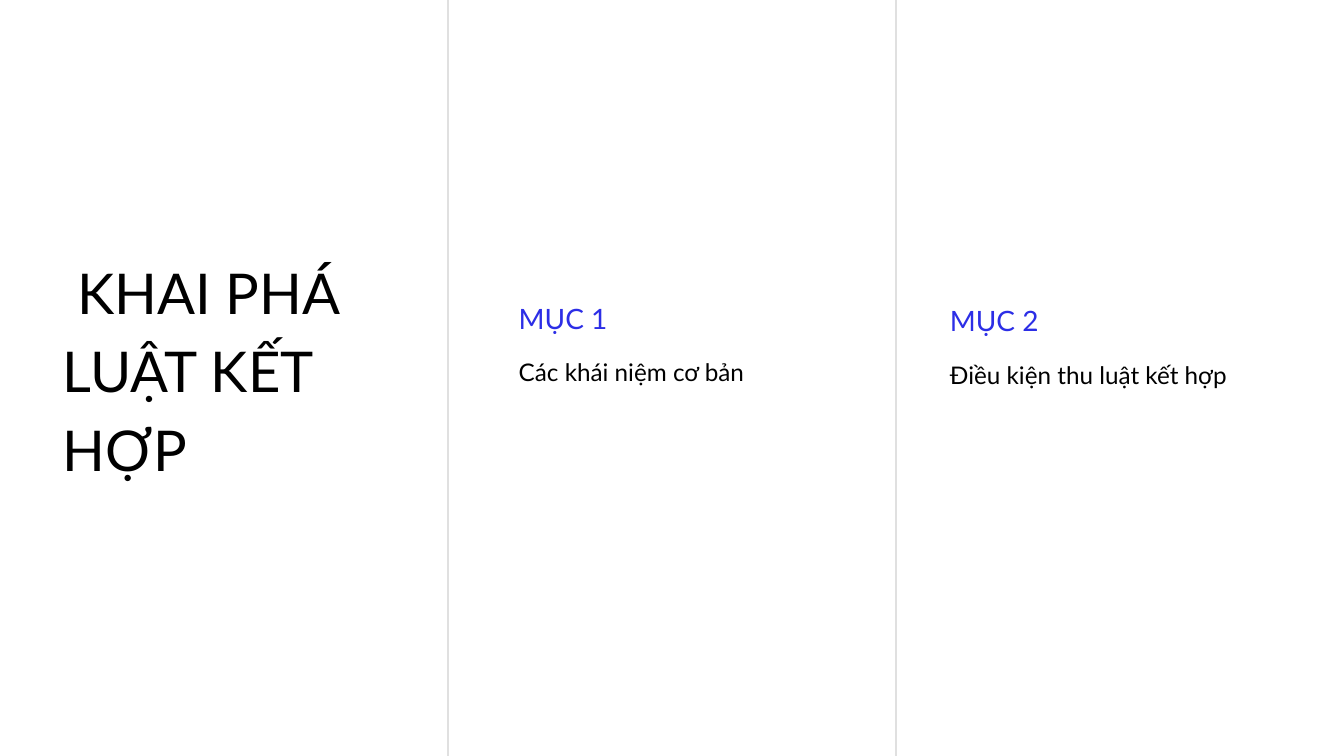
from lxml import etree
from pptx import Presentation, util as u
from pptx.dml.color import RGBColor
from pptx.enum import shapes, text
from pptx.oxml.ns import qn

PX = 9525  # EMU per px, 96 px to the inch
BLUE, BLACK = "2C2EE6", "000000"


def rgb(code):
    return RGBColor.from_string(code)


def label(words, box, size, lead, color=BLACK):
    frame = slide.shapes.add_textbox(*(v * PX for v in box)).text_frame
    form = dict(word_wrap=True, auto_size=text.MSO_AUTO_SIZE.SHAPE_TO_FIT_TEXT,
                margin_left=0, margin_top=0, margin_right=0, margin_bottom=0)
    for key, val in form.items():
        setattr(frame, key, val)
    para = frame.paragraphs[0]
    para.line_spacing = u.Pt(lead)
    run = para.add_run()
    run.text = words
    for key, val in dict(name="Lato", size=u.Pt(size)).items():
        setattr(run.font, key, val)
    run.font.color.rgb = rgb(color)


prs = Presentation()
prs.slide_width, prs.slide_height = 1920 * PX, 1080 * PX
slide = prs.slides.add_slide(prs.slide_layouts[6])

# Column rules
for x, low, top in ((640, 1105, -1), (1280, 1092, -13)):
    rule = slide.shapes.add_connector(
        shapes.MSO_CONNECTOR.STRAIGHT, x * PX, low * PX, x * PX, top * PX)
    rule.line.width = u.Pt(0.75)
    rule.line.color.rgb = rgb(BLACK)
    props = rule._element.spPr
    fill = props.find(".//" + qn("a:srgbClr"))
    etree.SubElement(fill, qn("a:alpha")).set("val", "35000")
    etree.SubElement(props, qn("a:effectLst"))

# Sections
parts = (
    (741, 423, "MỤC 1", "Các khái niệm cơ bản"),
    (1357, 426, "MỤC 2", "Điều kiện thu luật kết hợp"),
)
for x, y, head, body in parts:
    label(head, (x, y, 438, 53), 30, 42, BLUE)
    label(body, (x, y + 81, 438, 141), 26, 36.4)

# Title
label(" KHAI PHÁ LUẬT KẾT HỢP", (90, 353, 450, 332), 60.2, 84.2)

prs.save("out.pptx")
